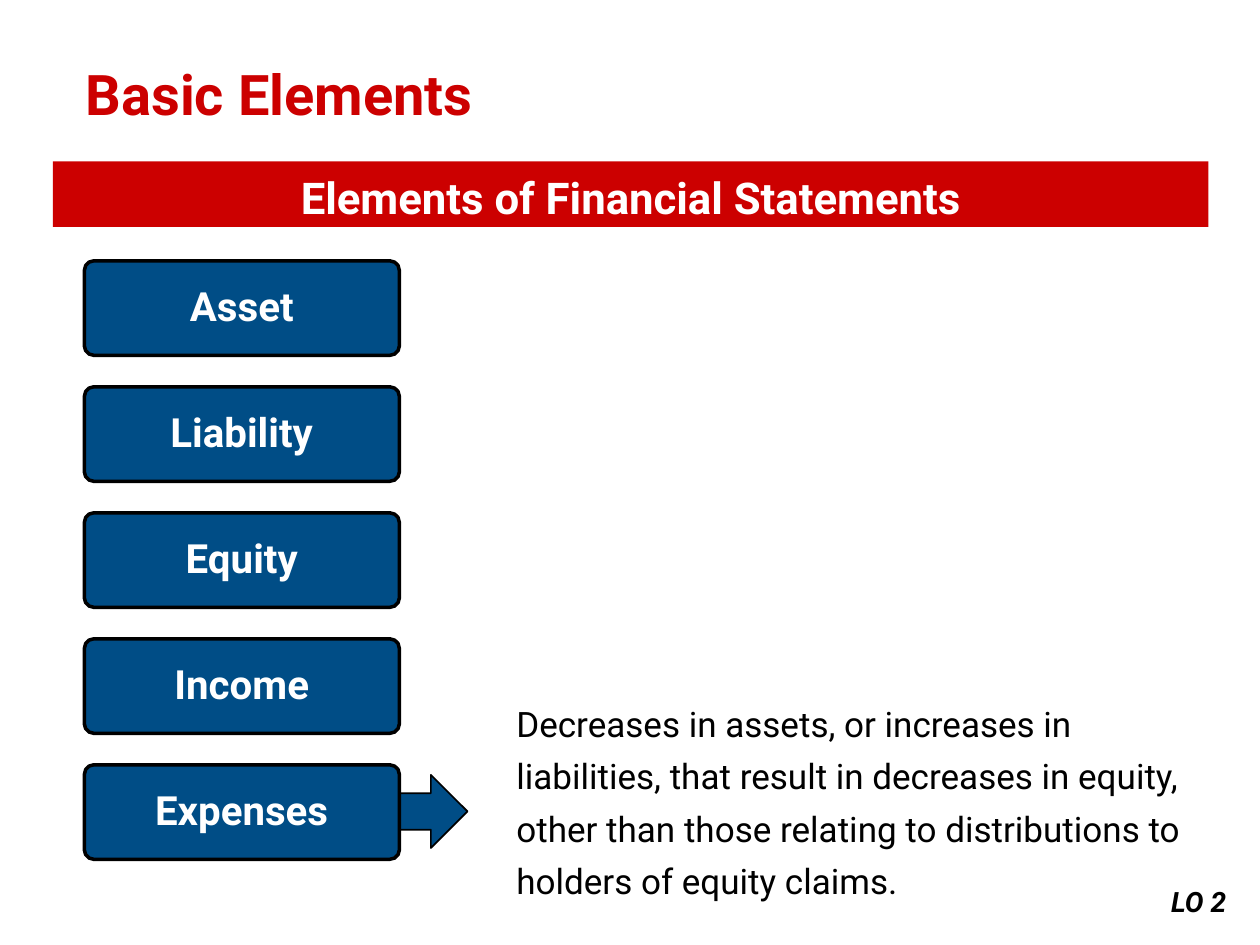
from dataclasses import dataclass

from pptx import Presentation
from pptx import util as u
from pptx.dml.color import RGBColor
from pptx.enum import shapes, text

Kind = shapes.MSO_SHAPE
Align = text.PP_ALIGN
Anchor = text.MSO_ANCHOR


@dataclass(frozen=True)
class Theme:
    font: str = "Roboto"
    red: str = "CC0000"
    blue: str = "004D86"
    black: str = "000000"
    white: str = "FFFFFF"
    title: int = 32
    banner: int = 25
    label: int = 23
    body: int = 20
    note: int = 16


THEME = Theme()
TERMS = ["Asset", "Liability", "Equity", "Income", "Expenses"]
BODY = ("Decreases in assets, or increases in liabilities, that result in "
        "decreases in equity, other than those relating to distributions "
        "to holders of equity claims.")


def write(shape, words, size, color, align=Align.LEFT, anchor=Anchor.TOP,
          top=0.05, bold=True, italic=False, space=None):
    frame = shape.text_frame
    frame.word_wrap = True
    frame.vertical_anchor = anchor
    frame.margin_left = frame.margin_right = u.Inches(0.1)
    frame.margin_top, frame.margin_bottom = u.Inches(top), u.Inches(0.05)
    para = frame.paragraphs[0]
    para.alignment = align
    if space:
        para.line_spacing = space
    run = para.add_run()
    run.text = words
    font = run.font
    font.name, font.size = THEME.font, u.Pt(size)
    font.bold, font.italic = bold, italic
    font.color.rgb = RGBColor.from_string(color)


def add_text(slide, area, words, size, color, **style):
    box = slide.shapes.add_textbox(*map(u.Inches, area))
    write(box, words, size, color, **style)


def add_shape(slide, kind, area, fill, line=0):
    shape = slide.shapes.add_shape(kind, *map(u.Inches, area))
    shape.shadow.inherit = False
    shape.fill.solid()
    shape.fill.fore_color.rgb = RGBColor.from_string(fill)
    if line:
        shape.line.color.rgb = RGBColor.from_string(THEME.black)
        shape.line.width = u.Pt(line)
    else:
        shape.line.fill.background()
    return shape


def add_term(slide, words, top):
    box = add_shape(slide, Kind.ROUNDED_RECTANGLE, (0.67, top, 2.5, 0.75),
                    THEME.blue, 2)
    box.adjustments[0] = 0.1
    write(box, words, THEME.label, THEME.white, align=Align.CENTER,
          anchor=Anchor.MIDDLE, top=0)


def main():
    deck = Presentation()
    deck.slide_width, deck.slide_height = u.Inches(10), u.Inches(7.5)
    slide = deck.slides.add_slide(deck.slide_layouts[6])

    # Definition of the last term
    add_text(slide, (4, 5.44, 5.5, 1.74), BODY, THEME.body, THEME.black,
             bold=False, space=1.25)

    # Banner
    banner = add_shape(slide, Kind.RECTANGLE, (0.42, 1.28, 9.17, 0.52),
                       THEME.red)
    write(banner, "Elements of Financial Statements", THEME.banner,
          THEME.white, align=Align.CENTER, anchor=Anchor.MIDDLE, top=0,
          space=1.25)

    # Arrow behind the column of terms
    add_shape(slide, Kind.RIGHT_ARROW, (3.13, 6.15, 0.58, 0.58),
              THEME.blue, 1)
    for row, term in enumerate(TERMS):
        add_term(slide, term, 2.07 + row)

    # Learning objective
    note = add_shape(slide, Kind.RECTANGLE, (8.58, 6.97, 1.25, 0.37),
                     THEME.white)
    write(note, "LO 2", THEME.note, THEME.black, align=Align.RIGHT,
          italic=True)

    # Title
    add_text(slide, (0.58, 0.42, 9, 0.61), "Basic Elements", THEME.title,
             THEME.red)

    deck.save("out.pptx")


if __name__ == "__main__":
    main()
